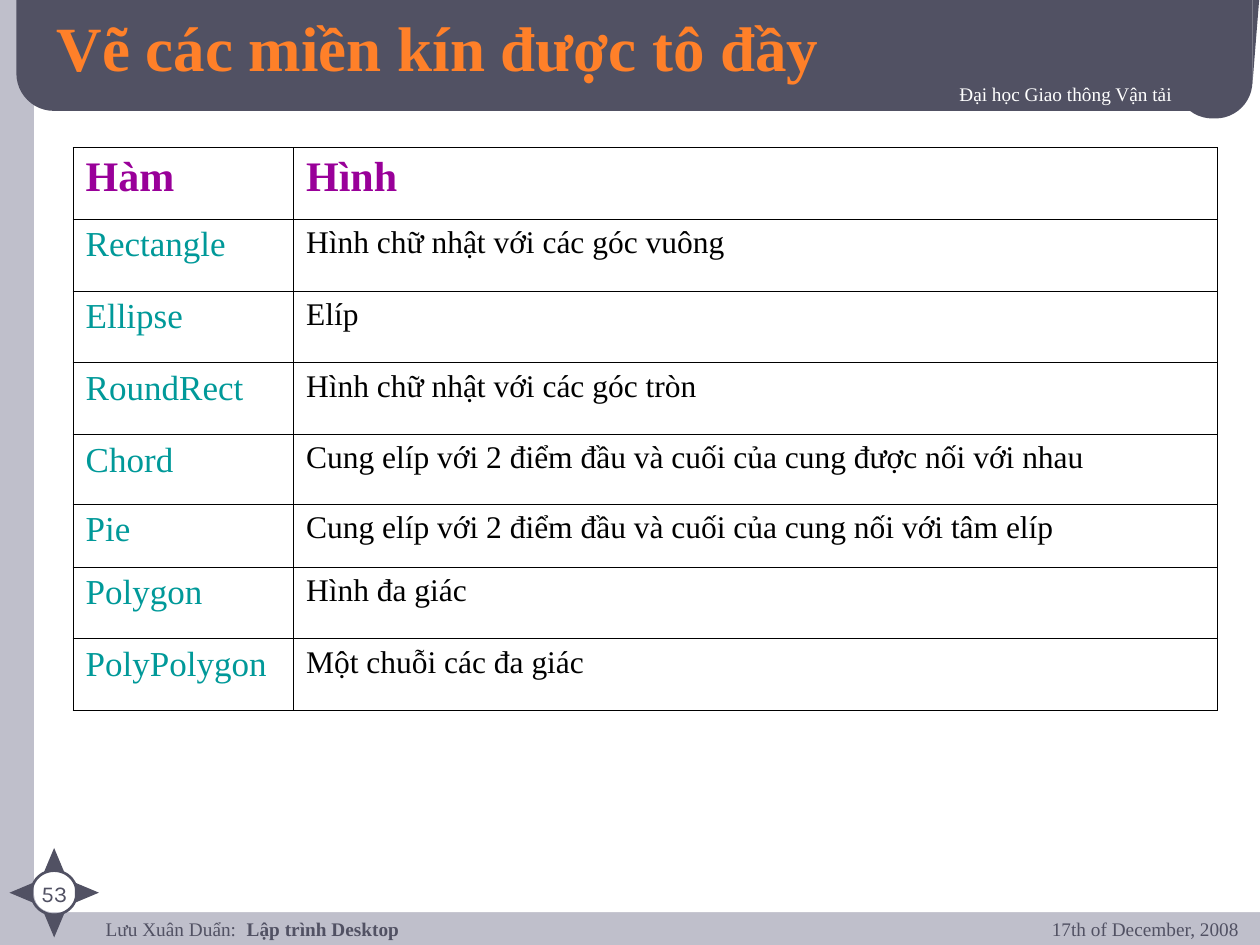
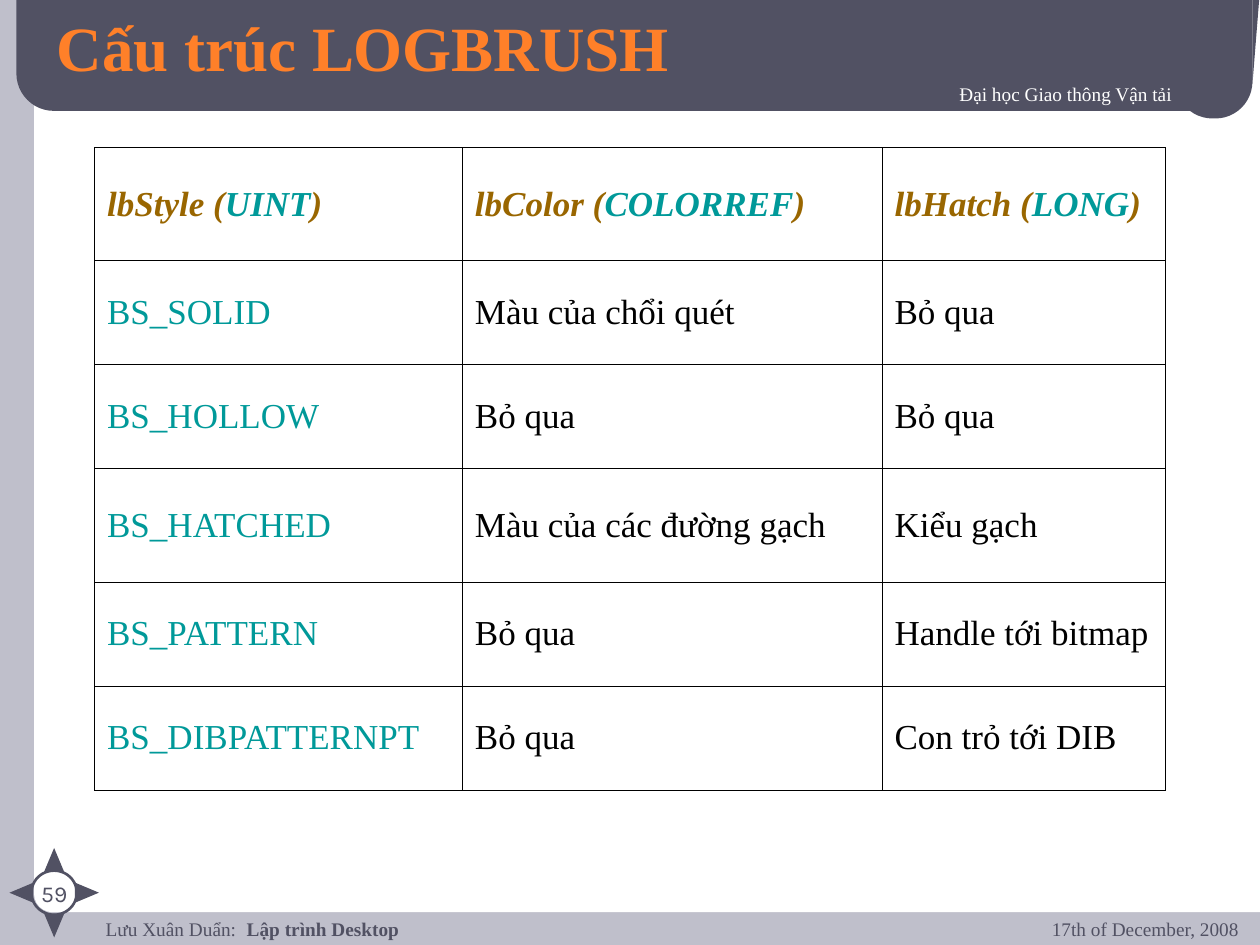
from collections import namedtuple
from math import cos, pi, sin

from lxml import etree
from pptx import Presentation
from pptx.dml.color import RGBColor
from pptx.enum.shapes import MSO_SHAPE as Shape
from pptx.enum.text import MSO_ANCHOR as Anchor, MSO_AUTO_SIZE as AutoSize, PP_ALIGN as Align
from pptx.oxml import parse_xml
from pptx.oxml.ns import nsdecls, qn
from pptx.util import Inches, Pt

SLATE, LILAC, WHITE, BLACK = "515163", "BFBFCB", "FFFFFF", "000000"
ORANGE, PURPLE, TEAL, OCHRE = "FF8029", "990099", "009999", "996600"
SERIF, SANS = "Times New Roman", "Karla"
COLUMNS, ROWS = 100, 75
UNIT = Inches(10) // COLUMNS

Box = namedtuple("Box", "left top width height")
SLIDE = Box(0, 0, COLUMNS, ROWS)
HEADER = Box(1.3, -3.6, 98.7, 13)
FOOTER = Box(7.4, 72.3, 91.9, 4.2)
COMPASS = Box(0.9, 67.3, 6.8, 7.1)


def color(value):
    """Turn a hex string into a colour."""
    return RGBColor.from_string(value)


def inside(region, left, top, width, height):
    """Place a box in grid units from the corner of a region."""
    return Box(region.left + left, region.top + top, width, height)


def emu(box):
    """Convert grid units to slide lengths."""
    return [round(length * UNIT) for length in box]


def write(para, text, size=11, ink=SLATE, font=SERIF, bold=False, italic=False, shadow=False):
    """Add a formatted span to a paragraph."""
    span = para.add_run()
    span.text = text
    span.font.size, span.font.name = Pt(size), font
    span.font.bold, span.font.italic = bold, italic
    span.font.color.rgb = color(ink)
    if shadow:
        effect = parse_xml(
            f'<a:effectLst {nsdecls("a")}><a:outerShdw dist="25400" dir="2700000">'
            '<a:srgbClr val="000000"/></a:outerShdw></a:effectLst>')
        span.font.fill._xPr.find(qn("a:latin")).addprevious(effect)


def finish(shape, fill=None, line=None):
    """Give a shape its fill and outline."""
    shape.shadow.inherit = False
    if fill:
        shape.fill.solid()
        shape.fill.fore_color.rgb = color(fill)
    else:
        shape.fill.background()
    if line:
        shape.line.color.rgb, shape.line.width = color(line), Pt(1.5)
    else:
        shape.line.fill.background()


def add_block(page, kind, box, fill=None, line=None, corner=None, turn=0):
    """Add a preset shape."""
    shape = page.shapes.add_shape(kind, *emu(box))
    finish(shape, fill, line)
    if corner is not None:
        shape.adjustments[0] = corner
    shape.rotation = turn


def add_text(page, box, align=Align.LEFT, inset=0.05):
    """Add a text box and return its first paragraph."""
    frame = page.shapes.add_textbox(*emu(box)).text_frame
    frame.word_wrap = True
    frame.margin_top = frame.margin_bottom = Inches(inset)
    para = frame.paragraphs[0]
    para.alignment = align
    return para


def add_header(page, region, title):
    """Draw the dark band with its hanging corner, title and school name."""
    add_block(page, Shape.ROUNDED_RECTANGLE, inside(region, 0, 0, 98.1, 12.4), SLATE, corner=0.24)
    add_block(page, Shape.ROUNDED_RECTANGLE, inside(region, 92, 6.5, 6.1, 6.5), SLATE, corner=0.48)
    wedge = inside(region, 98.1, 2.8, 0.6, 7.5)
    left, top, width, height = emu(wedge)
    outline = page.shapes.build_freeform(left, top)
    outline.add_line_segments([(left + width, top), (left, top + height)])
    finish(outline.convert_to_shape(), SLATE)
    school = add_text(page, inside(region, 29, 9.6, 63.7, 3.8), Align.RIGHT)
    write(school, "Đại học Giao thông Vận tải", ink=WHITE, shadow=True)

    holder = page.shapes.title
    holder.element.getparent().append(holder.element)
    holder.left, holder.top, holder.width, holder.height = emu(inside(region, 2.2, 4.4, 83.6, 5.7))
    frame = holder.text_frame
    frame.auto_size, frame.word_wrap = AutoSize.NONE, True
    frame.vertical_anchor = Anchor.MIDDLE
    frame.paragraphs[0].alignment = Align.LEFT
    write(frame.paragraphs[0], title, size=36, ink=ORANGE, bold=True, shadow=True)


def add_compass(page, region, number):
    """Draw the four-pointed star around the slide number."""
    para = add_text(page, inside(region, 0.5, 2, 5.8, 2.2), Align.CENTER)
    write(para, str(number), size=13, font=SANS)
    add_block(page, Shape.OVAL, inside(region, 1.6, 1.8, 3.6, 3.5), line=SLATE)
    width, height, reach = 1.6, 1.9, 2.6
    for quarter in range(4):
        angle = quarter * pi / 2
        left = region.width / 2 + reach * sin(angle) - width / 2
        top = region.height / 2 - reach * cos(angle) - height / 2
        add_block(page, Shape.ISOSCELES_TRIANGLE, inside(region, left, top, width, height),
                  SLATE, turn=90 * quarter)


def add_footer(page, region):
    """Write the author, course and date."""
    course = add_text(page, inside(region, 0, 0.5, 77.4, 3.3), inset=0)
    tabs = etree.SubElement(course._p.get_or_add_pPr(), qn("a:tabLst"))
    etree.SubElement(tabs, qn("a:tab"), pos=str(Inches(1.12)), algn="l")
    write(course, "Lưu Xuân Duẩn:\t")
    write(course, "Lập trình Desktop", bold=True)
    date = add_text(page, inside(region, 67.8, 0, 24.1, 4.2), Align.RIGHT)
    write(date, "17th of December, 2008")


def add_page(deck, title, number):
    """Add a slide with everything the slides share."""
    page = deck.slides.add_slide(deck.slide_layouts[5])
    page.background.fill.solid()
    page.background.fill.fore_color.rgb = color(LILAC)
    add_block(page, Shape.ROUNDED_RECTANGLE, inside(SLIDE, 2.7, -1.3, 100.1, 73.7), WHITE, corner=0.02)
    add_header(page, HEADER, title)
    add_footer(page, FOOTER)
    add_compass(page, COMPASS, number)
    return page


def rule_cell(cell):
    """Draw thin black borders around a cell without fill."""
    properties = cell._tc.get_or_add_tcPr()
    for side in ("lnL", "lnR", "lnT", "lnB"):
        line = etree.SubElement(properties, qn(f"a:{side}"), w=str(Pt(0.45)))
        fill = etree.SubElement(line, qn("a:solidFill"))
        etree.SubElement(fill, qn("a:srgbClr"), val=BLACK)
    cell.fill.background()


def add_grid(page, left, top, widths, heights, rows, anchor):
    """Add a ruled table whose cells are lists of text and format pairs."""
    box = Box(left, top, sum(widths), sum(heights))
    table = page.shapes.add_table(len(heights), len(widths), *emu(box)).table
    table.first_row = table.horz_banding = False
    for column, width in zip(table.columns, widths):
        column.width = round(width * UNIT)
    for row, height, contents in zip(table.rows, heights, rows):
        row.height = round(height * UNIT)
        for cell, spans in zip(row.cells, contents):
            rule_cell(cell)
            cell.vertical_anchor = anchor
            para = cell.text_frame.paragraphs[0]
            indent = para._p.get_or_add_pPr()
            indent.set("marL", str(Inches(0.44)))
            indent.set("indent", str(-Inches(0.44)))
            for text, style in spans:
                write(para, text, **style)


def add_shapes_page(deck):
    """Build the slide on functions for filled regions."""
    head = dict(size=24, ink=PURPLE, bold=True)
    name_style, shape_style = dict(size=20, ink=TEAL), dict(size=18, ink=BLACK)
    functions = [
        ("Rectangle", "Hình chữ nhật với các góc vuông"),
        ("Ellipse", "Elíp"),
        ("RoundRect", "Hình chữ nhật với các góc tròn"),
        ("Chord", "Cung elíp với 2 điểm đầu và cuối của cung được nối với nhau"),
        ("Pie", "Cung elíp với 2 điểm đầu và cuối của cung nối với tâm elíp"),
        ("Polygon", "Hình đa giác"),
        ("PolyPolygon", "Một chuỗi các đa giác"),
    ]
    rows = [[[("Hàm", head)], [("Hình", head)]]]
    rows += [[[(name, name_style)], [(shape, shape_style)]] for name, shape in functions]
    page = add_page(deck, "Vẽ các miền kín được tô đầy", 53)
    heights = [5.7] * 4 + [5.5, 5] + [5.7] * 2
    add_grid(page, 5.8, 11.7, [17.5, 73.3], heights, rows, Anchor.TOP)


def add_brush_page(deck):
    """Build the slide on the brush structure."""
    field = dict(size=20, ink=OCHRE, bold=True, italic=True)
    kind = dict(field, ink=TEAL)
    styles = [dict(size=20, ink=ink) for ink in (TEAL, BLACK, BLACK)]
    fields = [("lbStyle", "UINT"), ("lbColor", "COLORREF"), ("lbHatch", "LONG")]
    brushes = [
        ("BS_SOLID", "Màu của chổi quét", "Bỏ qua"),
        ("BS_HOLLOW", "Bỏ qua", "Bỏ qua"),
        ("BS_HATCHED", "Màu của các đường gạch", "Kiểu gạch"),
        ("BS_PATTERN", "Bỏ qua", "Handle tới bitmap"),
        ("BS_DIBPATTERNPT", "Bỏ qua", "Con trỏ tới DIB"),
    ]
    rows = [[[(f"{name} (", field), (type_name, kind), (")", field)] for name, type_name in fields]]
    rows += [[[pair] for pair in zip(brush, styles)] for brush in brushes]
    page = add_page(deck, "Cấu trúc LOGBRUSH", 59)
    heights = [9, 8.25, 8.25] * 2
    add_grid(page, 7.5, 11.7, [29.2, 33.3, 22.5], heights, rows, Anchor.MIDDLE)


def main():
    """Build and save the deck."""
    deck = Presentation()
    deck.slide_width, deck.slide_height = COLUMNS * UNIT, ROWS * UNIT
    add_shapes_page(deck)
    add_brush_page(deck)
    deck.save("out.pptx")


if __name__ == "__main__":
    main()
